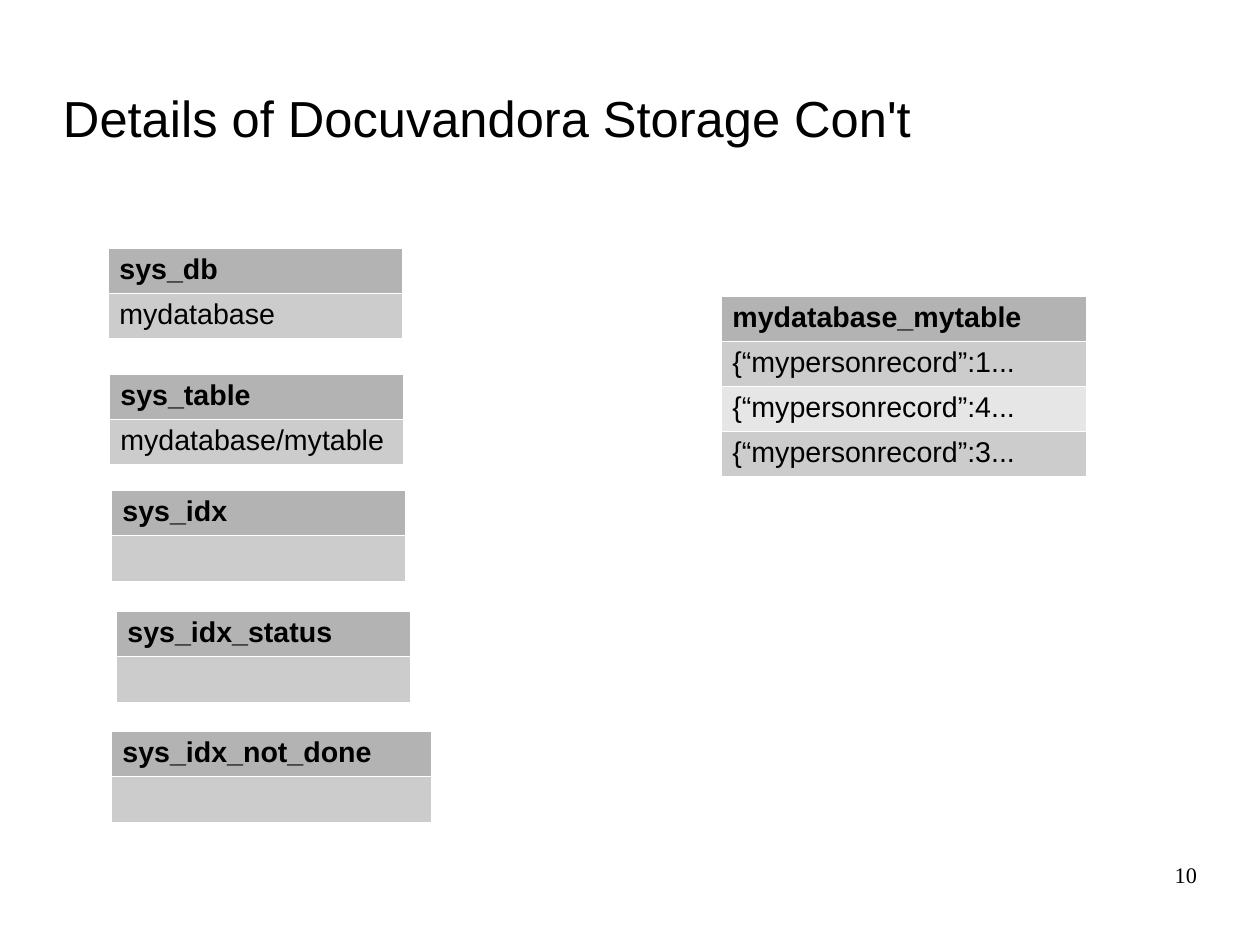
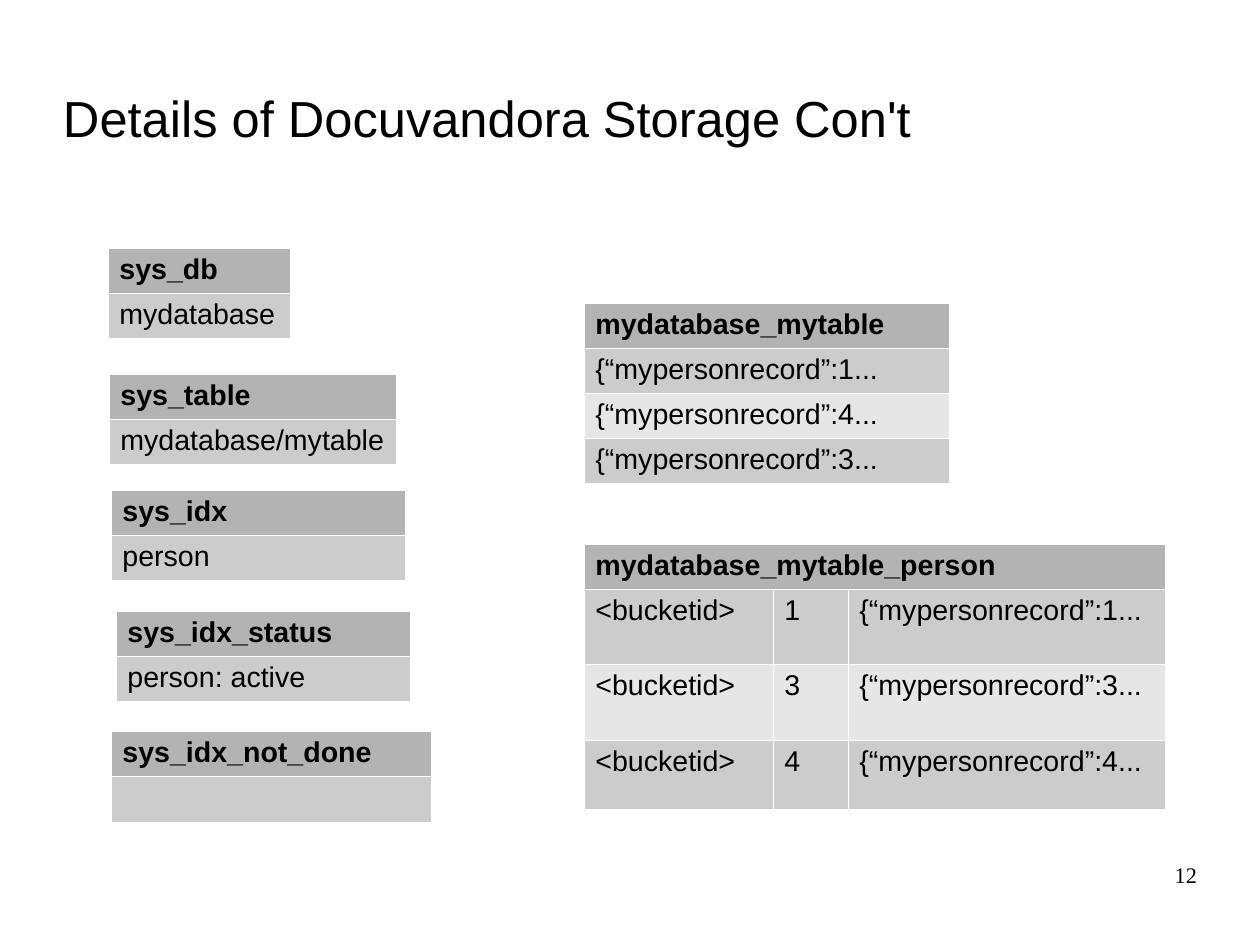
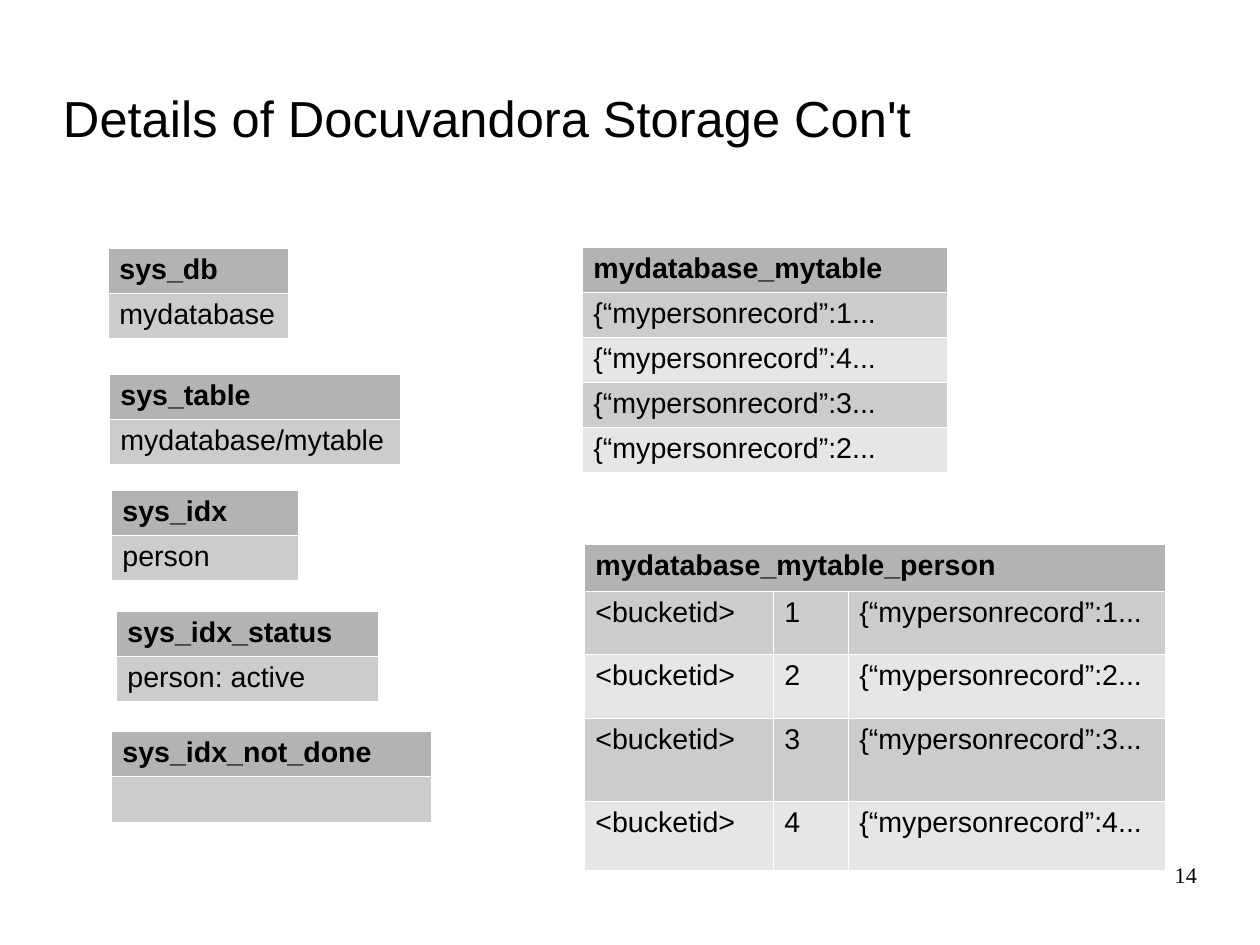
from lxml import etree
from pptx import Presentation
from pptx import util as u
from pptx.dml.color import RGBColor
from pptx.enum import text
from pptx.oxml import ns

PX = 8000
COLORS = {"ink": "000000", "line": "FFFFFF", "head": "B3B3B3", "odd": "CCCCCC", "even": "E6E6E6"}
TITLE = "Details of Docuvandora Storage Con't"
ROW = 45
SYSTEM_PLACES = {
    "sys_db": (108, 248),
    "sys_table": (109, 374),
    "sys_idx": (111, 490),
    "sys_idx_status": (116, 611),
    "sys_idx_not_done": (111, 731),
}
PAGES = [
    {
        "number": 10,
        "records": (721, 296, [1, 4, 3]),
        "widths": [294, 294, 294, 294, 320],
        "entries": ["mydatabase", "mydatabase/mytable", "", "", ""],
    },
    {
        "number": 12,
        "records": (584, 303, [1, 4, 3]),
        "widths": [182, 287, 294, 294, 320],
        "entries": ["mydatabase", "mydatabase/mytable", "person", "person: active", ""],
        "index": ([1, 3, 4], [ROW, 75, 76, 69]),
    },
    {
        "number": 14,
        "records": (582, 247, [1, 4, 3, 2]),
        "widths": [180, 291, 187, 262, 320],
        "entries": ["mydatabase", "mydatabase/mytable", "person", "person: active", ""],
        "index": ([1, 2, 3, 4], [47, 63, 64, 83, 69]),
    },
]


def record(key):
    return f"{{“mypersonrecord”:{key}..."


class Storage:
    """Holds the deck style and the current page, and draws its elements."""

    def __init__(self):
        self.deck = Presentation()
        self.deck.slide_width, self.deck.slide_height = 1260 * PX, 945 * PX
        self.page = None

    def place(self, box, left, top, width, height):
        box.left, box.top, box.width, box.height = (n * PX for n in (left, top, width, height))

    def style(self, frame, size, font="Arial", bold=False, align=text.PP_ALIGN.LEFT):
        for para in frame.paragraphs:
            para.alignment = align
            for span in para.runs:
                span.font.name, span.font.size, span.font.bold = font, u.Pt(size), bold
                span.font.color.rgb = RGBColor.from_string(COLORS["ink"])

    def bare(self, frame):
        frame.margin_left = frame.margin_right = frame.margin_top = frame.margin_bottom = 0
        frame.word_wrap = True
        frame.auto_size = text.MSO_AUTO_SIZE.NONE

    def new_page(self, title):
        self.page = self.deck.slides.add_slide(self.deck.slide_layouts[5])
        box = self.page.shapes.title
        self.place(box, 63, 72, 900, 90)
        frame = box.text_frame
        frame.text = title
        self.bare(frame)
        frame.vertical_anchor = text.MSO_ANCHOR.MIDDLE
        self.style(frame, 31.9)

    def number(self, value):
        box = self.page.shapes.add_textbox(0, 0, 0, 0)
        self.place(box, 903, 861, 294, 65)
        box.text_frame.text = str(value)
        self.bare(box.text_frame)
        self.style(box.text_frame, 14, "Times New Roman", align=text.PP_ALIGN.RIGHT)

    def borders(self, cell):
        properties = cell._tc.get_or_add_tcPr()
        for side in ("lnL", "lnR", "lnT", "lnB"):
            line = etree.SubElement(properties, ns.qn(f"a:{side}"), w="762")
            fill = etree.SubElement(line, ns.qn("a:solidFill"))
            etree.SubElement(fill, ns.qn("a:srgbClr"), val=COLORS["line"])

    def table(self, left, top, widths, header, rows, heights=None):
        heights = heights or [ROW] * (len(rows) + 1)
        holder = self.page.shapes.add_table(
            len(heights), len(widths), left * PX, top * PX, sum(widths) * PX, sum(heights) * PX
        )
        table = holder.table
        table.first_row = table.horz_banding = False
        for column, width in zip(table.columns, widths):
            column.width = width * PX
        for row, height in zip(table.rows, heights):
            row.height = height * PX
        lines = [[header] + [""] * (len(widths) - 1)] + rows
        for index, line in enumerate(lines):
            shade = "head" if index == 0 else "odd" if index % 2 else "even"
            for cell, words in zip(table.rows[index].cells, line):
                self.borders(cell)
                cell.fill.solid()
                cell.fill.fore_color.rgb = RGBColor.from_string(COLORS[shade])
                cell.text_frame.text = words
                self.style(cell.text_frame, 18, bold=index == 0)
        if len(widths) > 1:
            table.cell(0, 0).merge(table.cell(0, len(widths) - 1))


def main():
    storage = Storage()
    for plan in PAGES:
        storage.new_page(TITLE)
        left, top, keys = plan["records"]
        storage.table(left, top, [365], "mydatabase_mytable", [[record(key)] for key in keys])
        for (name, place), width, entry in zip(SYSTEM_PLACES.items(), plan["widths"], plan["entries"]):
            storage.table(*place, [width], name, [[entry]])
        if "index" in plan:
            keys, heights = plan["index"]
            rows = [["<bucketid>", str(key), record(key)] for key in keys]
            storage.table(584, 544, [189, 75, 317], "mydatabase_mytable_person", rows, heights)
        storage.number(plan["number"])
    storage.deck.save("out.pptx")


if __name__ == "__main__":
    main()
